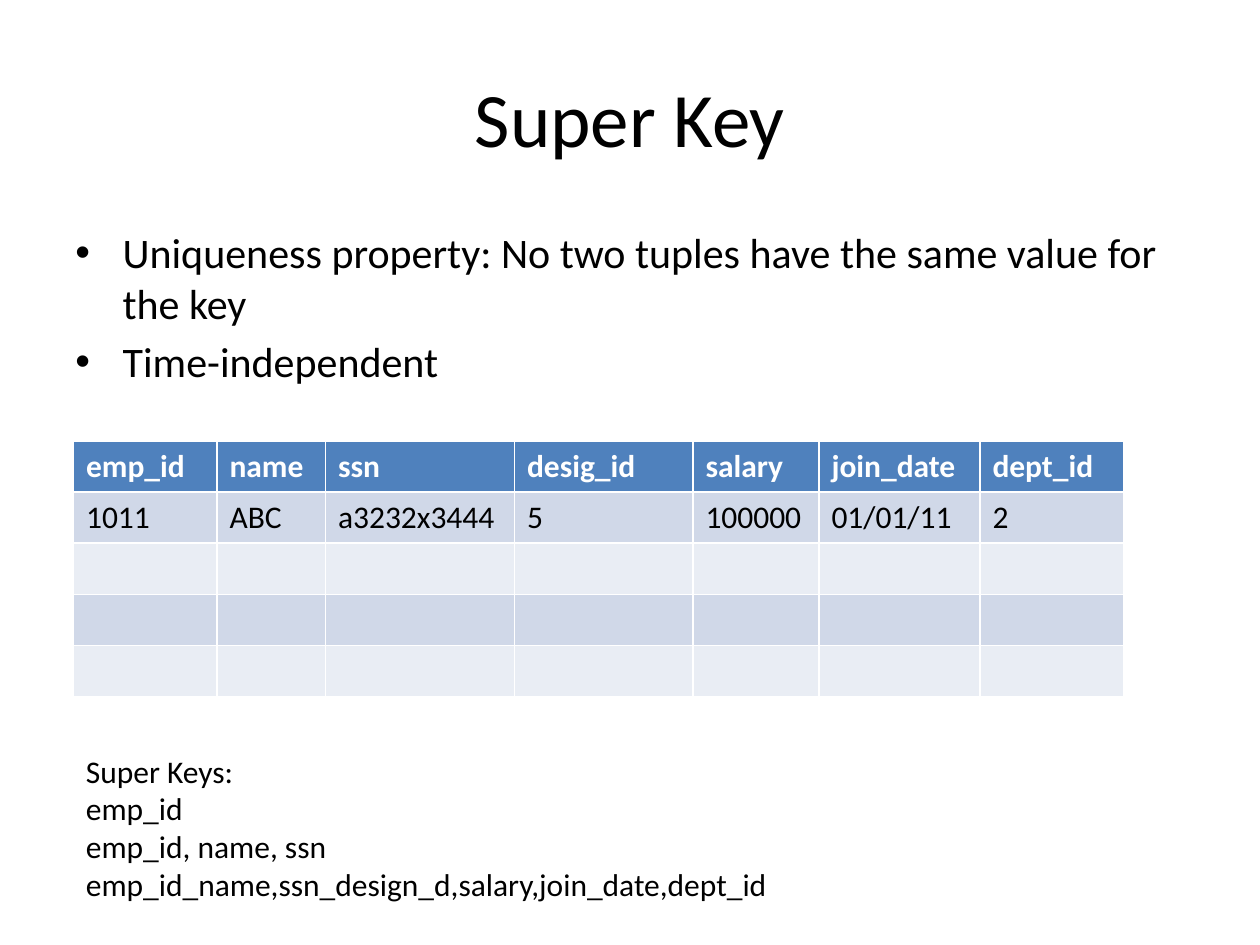
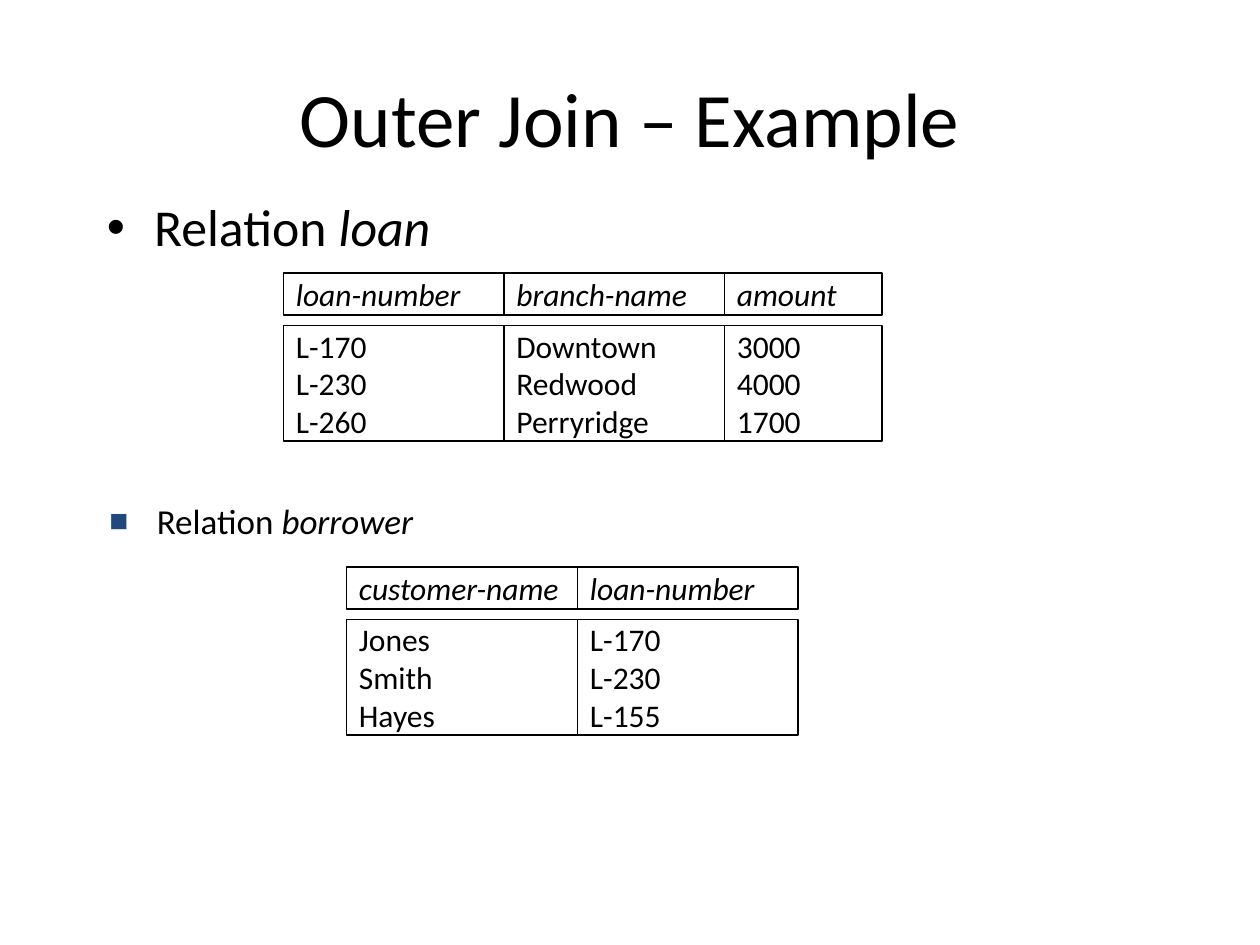
from lxml import etree
from pptx import Presentation
from pptx.dml.color import RGBColor
from pptx.enum import shapes, text
from pptx.oxml import ns
from pptx.util import Pt

FONT = "Calibri"
BLACK, WHITE, NAVY = "000000", "FFFFFF", "1F497D"
HEADER_FILL = "4F81BD"
BAND_FILLS = ["D0D8E8", "E9EDF4"]
TITLE_BOX = (36, 21.6, 648, 90)
BULLET_INDENT = 27


def color(value):
    return RGBColor.from_string(value)


def add_bullet(paragraph, character, bullet_color=None, percent=100):
    properties = paragraph._p.get_or_add_pPr()
    properties.set("marL", str(Pt(BULLET_INDENT)))
    properties.set("indent", str(-Pt(BULLET_INDENT)))
    if bullet_color:
        holder = etree.SubElement(properties, ns.qn("a:buClr"))
        etree.SubElement(holder, ns.qn("a:srgbClr"), val=bullet_color)
    etree.SubElement(properties, ns.qn("a:buSzPct"), val=str(percent * 1000))
    etree.SubElement(properties, ns.qn("a:buFont"), typeface="Arial")
    etree.SubElement(properties, ns.qn("a:buChar"), char=character)


def write_text(frame, content, size=18, font_color=BLACK, bold=False,
               align=text.PP_ALIGN.LEFT, anchor=text.MSO_ANCHOR.TOP,
               wrap=True, space_before=0, bullet=None):
    """Lines become paragraphs; words between asterisks are italic."""
    frame.word_wrap = wrap
    frame.vertical_anchor = anchor
    for index, line in enumerate(content.split("\n")):
        paragraph = frame.add_paragraph() if index else frame.paragraphs[0]
        paragraph.alignment = align
        paragraph.space_before = Pt(space_before)
        if bullet:
            add_bullet(paragraph, **bullet)
        for part, words in enumerate(line.split("*")):
            if not words:
                continue
            run = paragraph.add_run()
            run.text = words
            run.font.name = FONT
            run.font.size = Pt(size)
            run.font.bold = bold
            run.font.italic = part % 2 == 1
            run.font.color.rgb = color(font_color)


def add_text(slide, box, content, **style):
    shape = slide.shapes.add_textbox(*map(Pt, box))
    write_text(shape.text_frame, content, **style)


def add_title(slide, content):
    add_text(slide, TITLE_BOX, content, size=44, align=text.PP_ALIGN.CENTER,
             anchor=text.MSO_ANCHOR.MIDDLE)


def add_employee_table(slide, box, widths, rows):
    left, top, width, height = map(Pt, box)
    table = slide.shapes.add_table(len(rows), len(widths), left, top, width, height).table
    for column, column_width in zip(table.columns, widths):
        column.width = Pt(column_width)
    for row_index, row in enumerate(rows):
        header = row_index == 0
        fill = HEADER_FILL if header else BAND_FILLS[(row_index - 1) % 2]
        for column_index, value in enumerate(row):
            cell = table.cell(row_index, column_index)
            cell.fill.solid()
            cell.fill.fore_color.rgb = color(fill)
            write_text(cell.text_frame, value, bold=header,
                       font_color=WHITE if header else BLACK)


def add_framed_cell(slide, box, content):
    shape = slide.shapes.add_shape(shapes.MSO_SHAPE.RECTANGLE, *map(Pt, box))
    shape.shadow.inherit = False
    shape.fill.solid()
    shape.fill.fore_color.rgb = color(WHITE)
    shape.line.color.rgb = color(BLACK)
    shape.line.width = Pt(0.75)
    write_text(shape.text_frame, content, anchor=text.MSO_ANCHOR.MIDDLE, wrap=False)


def add_relation(slide, left, top, columns, header_height=24, gap=6, body_height=66):
    for name, width, values in columns:
        add_framed_cell(slide, (left, top, width, header_height), f"*{name}*")
        body_top = top + header_height + gap
        add_framed_cell(slide, (left, body_top, width, body_height), "\n".join(values))
        left += width


def build_super_key(slide):
    add_title(slide, "Super Key")
    add_text(slide, (36, 126, 648, 356.4),
             "Uniqueness property: No two tuples have the same value for the key\n"
             "Time-independent",
             size=24, space_before=4.8, bullet={"character": "•"})
    names = ["emp_id", "name", "ssn", "desig_id", "salary", "join_date", "dept_id"]
    employee = ["1011", "ABC", "a3232x3444", "5", "100000", "01/01/11", "2"]
    empty_rows = [[""] * len(names)] * 3
    add_employee_table(slide, (42, 252, 600, 146),
                       [82, 62, 108, 102, 72, 92, 82],
                       [names, employee, *empty_rows])
    add_text(slide, (42, 426, 600, 94.5),
             "Super Keys:\nemp_id\nemp_id, name, ssn\n"
             "emp_id_name,ssn_design_d,salary,join_date,dept_id")


def build_outer_join(slide):
    add_title(slide, "Outer Join – Example")
    add_text(slide, (54, 108, 554, 38), "Relation *loan*", size=29.6,
             space_before=5.9, bullet={"character": "•"})
    add_relation(slide, 162, 156, [
        ("loan-number", 126, ["L-170", "L-230", "L-260"]),
        ("branch-name", 126, ["Downtown", "Redwood", "Perryridge"]),
        ("amount", 90, ["3000", "4000", "1700"]),
    ])
    add_text(slide, (55.5, 282, 554, 38), "Relation *borrower*", size=20, space_before=7,
             bullet={"character": "■", "bullet_color": NAVY, "percent": 90})
    add_relation(slide, 198, 324, [
        ("customer-name", 132, ["Jones", "Smith", "Hayes"]),
        ("loan-number", 126, ["L-170", "L-230", "L-155"]),
    ])


def main():
    presentation = Presentation()
    presentation.slide_width, presentation.slide_height = Pt(720), Pt(540)
    blank = presentation.slide_layouts[6]
    for build in (build_super_key, build_outer_join):
        build(presentation.slides.add_slide(blank))
    presentation.save("out.pptx")


if __name__ == "__main__":
    main()
